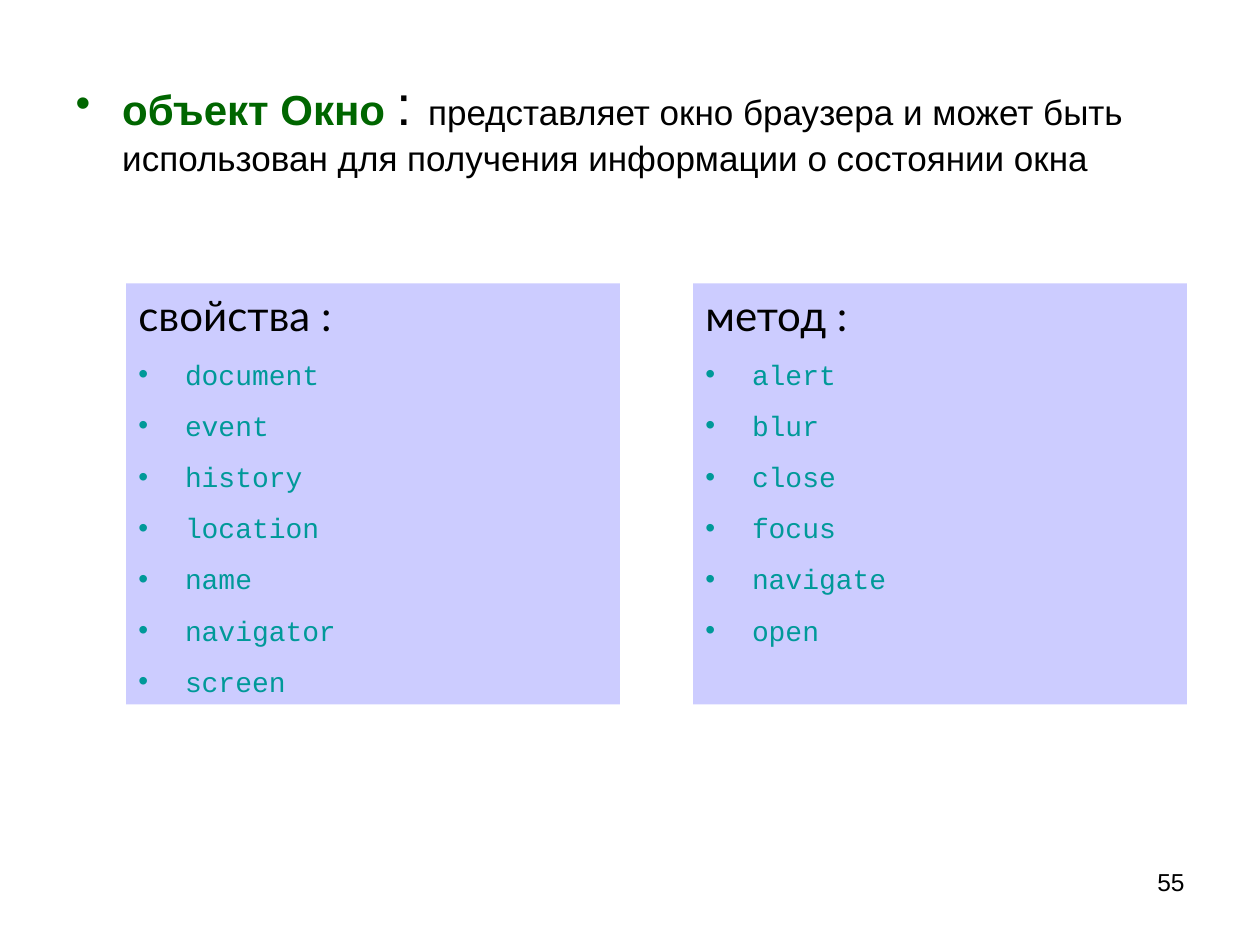
from lxml import etree
from pptx import Presentation
from pptx.dml.color import RGBColor
from pptx.enum.shapes import MSO_SHAPE
from pptx.enum.text import MSO_ANCHOR, MSO_AUTO_SIZE, PP_ALIGN
from pptx.oxml.ns import qn
from pptx.util import Inches, Pt

RECTANGLE = MSO_SHAPE.RECTANGLE
TOP = MSO_ANCHOR.TOP
NO_AUTOFIT = MSO_AUTO_SIZE.NONE
LEFT, RIGHT = PP_ALIGN.LEFT, PP_ALIGN.RIGHT

BLACK = RGBColor(0x00, 0x00, 0x00)
GREEN = RGBColor(0x00, 0x66, 0x00)
TEAL = RGBColor(0x00, 0x99, 0x99)
LAVENDER = RGBColor(0xCC, 0xCC, 0xFF)

# Panel grid, in inches
PANEL_LEFT, PANEL_TOP = 1, 2.25
PANEL_WIDTH, PANEL_HEIGHT = 3.92, 3.34
PANEL_STEP = 4.5
BULLET_INDENT = 0.37

PANELS = [
    ("свойства :", ["document", "event", "history", "location",
                    "name", "navigator", "screen"]),
    ("метод :", ["alert", "blur", "close", "focus", "navigate", "open"]),
]
DEFINITION = [
    ("объект Окно ", 24, GREEN, True),
    (": ", 32, BLACK, False),
    ("представляет окно браузера и может быть использован "
     "для получения информации о состоянии окна", 20, BLACK, False),
]


def place(shape, left, top, width, height):
    shape.left, shape.top = Inches(left), Inches(top)
    shape.width, shape.height = Inches(width), Inches(height)


def style(run, font_name, size, color, bold=False):
    run.font.name = font_name
    run.font.size = Pt(size)
    run.font.color.rgb = color
    run.font.bold = bold


def add_bullet(paragraph, color, space_before):
    paragraph.space_before = Pt(space_before)
    properties = paragraph._p.get_or_add_pPr()
    properties.set("marL", str(Inches(BULLET_INDENT)))
    properties.set("indent", str(-Inches(BULLET_INDENT)))
    bullet_color = etree.SubElement(properties, qn("a:buClr"))
    etree.SubElement(bullet_color, qn("a:srgbClr"), val=str(color))
    etree.SubElement(properties, qn("a:buFont"), typeface="Arial")
    etree.SubElement(properties, qn("a:buChar"), char="•")


def fill_definition(body):
    place(body, 0.5, 0.5, 9, 6.2)
    paragraph = body.text_frame.paragraphs[0]
    add_bullet(paragraph, GREEN, 5)
    for text, size, color, bold in DEFINITION:
        run = paragraph.add_run()
        run.text = text
        style(run, "Arial", size, color, bold)


def add_panel(slide, column, heading, members):
    panel = slide.shapes.add_shape(
        RECTANGLE, Inches(PANEL_LEFT + column * PANEL_STEP), Inches(PANEL_TOP),
        Inches(PANEL_WIDTH), Inches(PANEL_HEIGHT))
    panel.shadow.inherit = False
    panel.fill.solid()
    panel.fill.fore_color.rgb = LAVENDER
    panel.line.fill.background()

    frame = panel.text_frame
    frame.word_wrap = True
    frame.auto_size = NO_AUTOFIT
    frame.vertical_anchor = TOP
    frame.text = "\n".join([heading, *members])
    title, *items = frame.paragraphs
    title.alignment = LEFT
    title.space_before = Pt(15)
    style(title.runs[0], "Lato", 24, BLACK)
    for item in items:
        item.alignment = LEFT
        add_bullet(item, TEAL, 10)
        style(item.runs[0], "Courier New", 16, TEAL)


def add_page_number(slide, number):
    box = slide.shapes.add_textbox(0, 0, 0, 0)
    place(box, 7.17, 6.83, 2.33, 0.52)
    box.text_frame.word_wrap = True
    paragraph = box.text_frame.paragraphs[0]
    paragraph.text = number
    paragraph.alignment = RIGHT
    style(paragraph.runs[0], "Arial", 14, BLACK)


def main():
    deck = Presentation()
    deck.slide_width, deck.slide_height = Inches(10), Inches(7.5)
    slide = deck.slides.add_slide(deck.slide_layouts[1])

    # The slide has body text but no title
    title, body = slide.placeholders
    title.element.getparent().remove(title.element)
    fill_definition(body)

    # Properties and methods side by side
    for column, (heading, members) in enumerate(PANELS):
        add_panel(slide, column, heading, members)

    add_page_number(slide, "55")
    deck.save("out.pptx")


if __name__ == "__main__":
    main()
